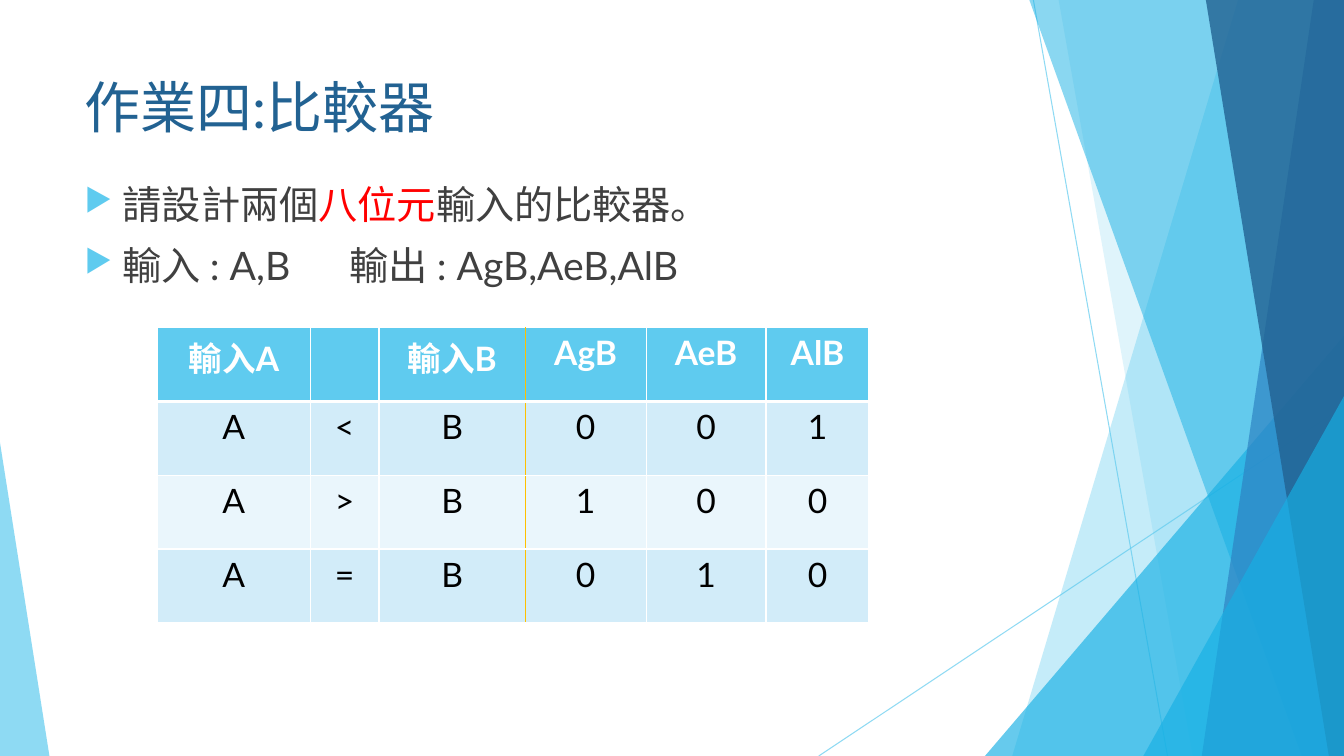
from lxml import etree
from pptx import Presentation
from pptx.dml.color import RGBColor
from pptx.enum.shapes import MSO_CONNECTOR, MSO_SHAPE
from pptx.enum.text import MSO_ANCHOR, PP_ALIGN
from pptx.oxml.ns import qn
from pptx.util import Inches, Pt

STRAIGHT = MSO_CONNECTOR.STRAIGHT
TRIANGLE = MSO_SHAPE.ISOSCELES_TRIANGLE
TOP = MSO_ANCHOR.TOP
CENTER = PP_ALIGN.CENTER

FONT = "Lato"
WIDTH, HEIGHT = Inches(13.33), Inches(7.5)
COLORS = {
    "sky": "5FCBEF", "cyan": "17B0E4", "blue": "2E83C3", "navy": "226292",
    "text": "404040", "red": "FF0000", "white": "FFFFFF", "black": "000000",
    "gold": "FFC000", "odd_row": "D2ECF9", "even_row": "EAF6FC",
}

GUIDE_LINES = [(76.89, 0, 86.87, 100), (100, 53.73, 60.92, 100)]
FACETS = [
    ("band", 92.12, 75.32, "sky", 36),
    ("band", 78.77, 88.75, "sky", 20),
    ("triangle", (73.29, 44.4, 26.71, 55.6), 1, "cyan", 66),
    ("band", 76.59, 96.85, "cyan", 50),
    ("band", 97.75, 89.42, "blue", 70),
    ("band", 89.72, 98.87, "navy", 80),
    ("triangle", (85.07, 52.4, 14.93, 47.6), 1, "cyan", 66),
    ("triangle", (0, 58.53, 3.68, 41.47), 0, "sky", 70),
]
TITLE = "作業四:比較器"
BULLETS = [
    [("請設計兩個", "text"), ("八位元", "red"), ("輸入的比較器。", "text")],
    [("輸入 : A,B\t輸出 : AgB,AeB,AlB", "text")],
]
COLUMN_WEIGHTS = [1.52, 0.68, 1.45, 1.2, 1.19, 1.02]
TRUTH_TABLE = [
    ["輸入A", "", "輸入B", "AgB", "AeB", "AlB"],
    ["A", "<", "B", "0", "0", "1"],
    ["A", ">", "B", "1", "0", "0"],
    ["A", "=", "B", "0", "1", "0"],
]
INPUT_COLUMNS = 3


def rgb(name):
    return RGBColor.from_string(COLORS[name])


def share(box, x, y):
    left, top, width, height = box
    return round(left + width * x / 100), round(top + height * y / 100)


def sub_box(box, x, y, w, h):
    return (*share(box, x, y), round(box[2] * w / 100), round(box[3] * h / 100))


def set_alpha(fill, percent):
    color = fill._xPr.find(".//" + qn("a:srgbClr"))
    etree.SubElement(color, qn("a:alpha"), val=str(percent * 1000))


def add_run(p, text, size, color, bold=False):
    r = p.add_run()
    r.text = text
    r.font.name = FONT
    r.font.size = Pt(size)
    r.font.bold = bold
    r.font.color.rgb = rgb(color)


def add_text_frame(s, box):
    tf = s.shapes.add_textbox(*box).text_frame
    tf.word_wrap = True
    tf.vertical_anchor = TOP
    return tf


def add_band(s, box, top_x, bottom_x):
    corners = [share(box, x, y) for x, y in
               [(top_x, 0), (100, 0), (100, 100), (bottom_x, 100)]]
    builder = s.shapes.build_freeform(*corners[0])
    builder.add_line_segments(corners[1:], close=True)
    return builder.convert_to_shape()


def add_triangle(s, box, place, apex):
    sp = s.shapes.add_shape(TRIANGLE, *sub_box(box, *place))
    sp.adjustments[0] = apex
    return sp


def add_backdrop(s, box):
    for x1, y1, x2, y2 in GUIDE_LINES:
        line = s.shapes.add_connector(
            STRAIGHT, *share(box, x1, y1), *share(box, x2, y2))
        line.line.width = Pt(0.75)
        line.line.color.rgb = rgb("sky")
        set_alpha(line.line.fill, 70)
        etree.SubElement(line._element.spPr, qn("a:effectLst"))
    builders = {"band": add_band, "triangle": add_triangle}
    for kind, first, second, color, alpha in FACETS:
        sp = builders[kind](s, box, first, second)
        sp.shadow.inherit = False
        sp.fill.solid()
        sp.fill.fore_color.rgb = rgb(color)
        set_alpha(sp.fill, alpha)
        sp.line.fill.background()


def add_title(s, box):
    add_run(add_text_frame(s, box).paragraphs[0], TITLE, 40, "navy")


def add_bullets(s, box):
    tf = add_text_frame(s, box)
    for i, runs in enumerate(BULLETS):
        p = tf.paragraphs[0] if i == 0 else tf.add_paragraph()
        p.space_before = Pt(10)
        pPr = p._p.get_or_add_pPr()
        pPr.set("marL", str(Inches(0.38)))
        pPr.set("indent", str(-Inches(0.38)))
        color = etree.SubElement(pPr, qn("a:buClr"))
        etree.SubElement(color, qn("a:srgbClr"), val=COLORS["sky"])
        etree.SubElement(pPr, qn("a:buSzPct"), val="80000")
        etree.SubElement(pPr, qn("a:buChar"), char="▶")
        tabs = etree.SubElement(pPr, qn("a:tabLst"))
        etree.SubElement(tabs, qn("a:tab"), pos=str(Inches(2.63)), algn="l")
        for text, name in runs:
            add_run(p, text, 28, name)


def set_borders(cell, row, col):
    tcPr = cell._tc.get_or_add_tcPr()
    edges = {
        "lnL": ("gold" if col == INPUT_COLUMNS else "white", 1),
        "lnR": ("gold" if col == INPUT_COLUMNS - 1 else "white", 1),
        "lnT": ("white", 3 if row == 1 else 1),
        "lnB": ("white", 3 if row == 0 else 1),
    }
    for i, (tag, (color, width)) in enumerate(edges.items()):
        ln = etree.Element(qn("a:" + tag), w=str(Pt(width)))
        fill = etree.SubElement(ln, qn("a:solidFill"))
        etree.SubElement(fill, qn("a:srgbClr"), val=COLORS[color])
        tcPr.insert(i, ln)


def add_truth_table(s, box):
    rows, cols = len(TRUTH_TABLE), len(COLUMN_WEIGHTS)
    table = s.shapes.add_table(rows, cols, *box).table
    for column, weight in zip(table.columns, COLUMN_WEIGHTS):
        column.width = round(box[2] * weight / sum(COLUMN_WEIGHTS))
    for i, values in enumerate(TRUTH_TABLE):
        table.rows[i].height = box[3] // rows
        header = i == 0
        fill = "sky" if header else "odd_row" if i % 2 else "even_row"
        for j, value in enumerate(values):
            cell = table.cell(i, j)
            cell.fill.solid()
            cell.fill.fore_color.rgb = rgb(fill)
            set_borders(cell, i, j)
            p = cell.text_frame.paragraphs[0]
            p.alignment = CENTER
            if value:
                add_run(p, value, 24, "white" if header else "black", header)


def main():
    prs = Presentation()
    prs.slide_width, prs.slide_height = WIDTH, HEIGHT
    s = prs.slides.add_slide(prs.slide_layouts[6])
    page = (0, 0, WIDTH, HEIGHT)
    add_backdrop(s, page)
    add_title(s, sub_box(page, 5.55, 8.93, 70.52, 12.4))
    add_bullets(s, sub_box(page, 5.55, 23.2, 70.52, 64.93))
    add_truth_table(s, sub_box(page, 11.7, 43.33, 52.96, 39.07))
    prs.save("out.pptx")


if __name__ == "__main__":
    main()
